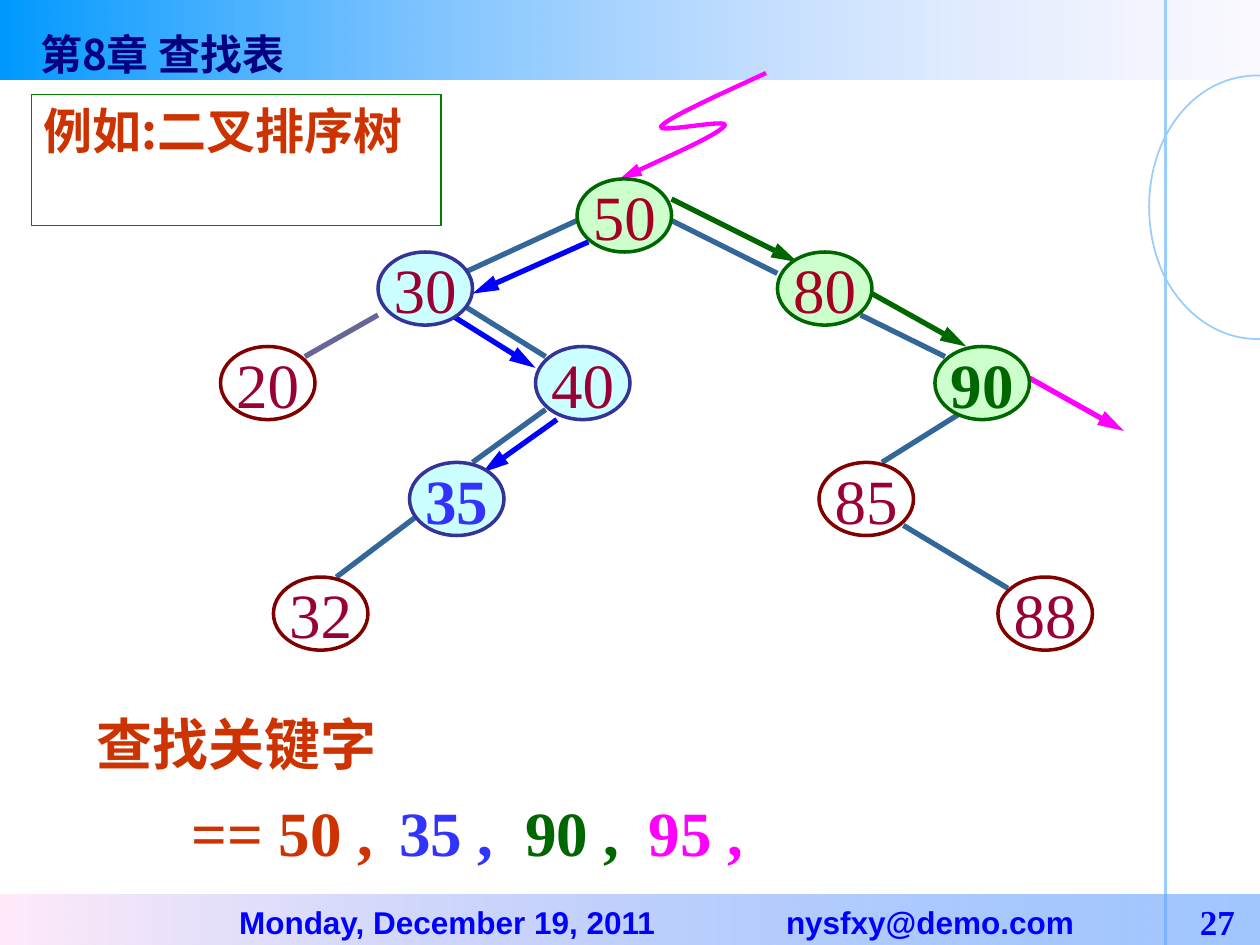
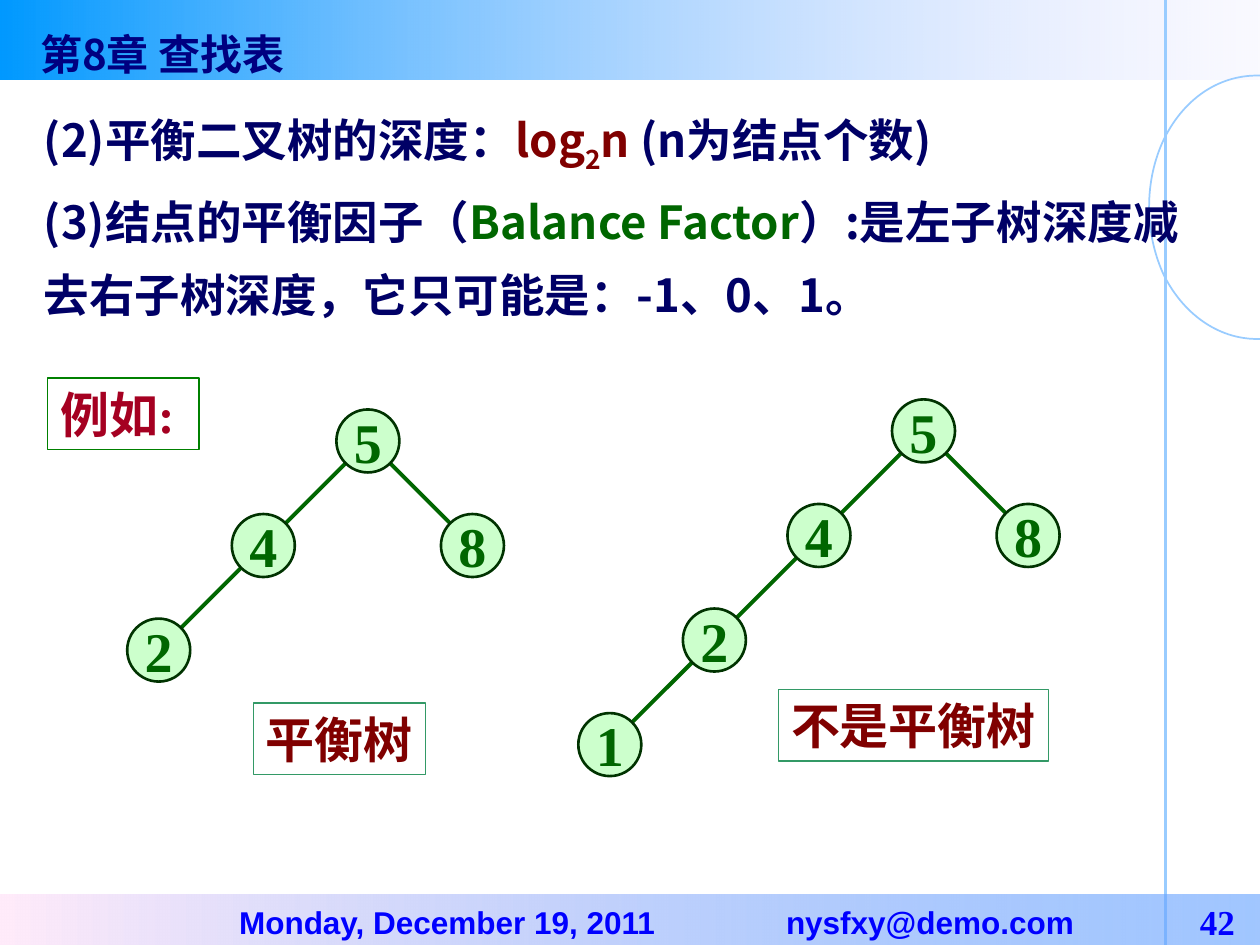
from lxml.etree import SubElement
from pptx import Presentation
from pptx.dml.color import RGBColor
from pptx.enum.shapes import MSO_CONNECTOR, MSO_SHAPE
from pptx.enum.text import MSO_ANCHOR, MSO_AUTO_SIZE, PP_ALIGN
from pptx.oxml.ns import qn
from pptx.util import Inches, Pt

BLUE = RGBColor(0x00, 0x00, 0xFF)
SKY = RGBColor(0x00, 0x99, 0xFF)
LAVENDER = RGBColor(0xCC, 0xCC, 0xFF)
BLUSH = RGBColor(0xFF, 0xEB, 0xFA)
CORNFLOWER = RGBColor(0x5E, 0x9E, 0xFF)
PALE_BLUE = RGBColor(0x99, 0xCC, 0xFF)
NAVY = RGBColor(0x00, 0x00, 0x80)
INK = RGBColor(0x00, 0x00, 0x66)
STEEL = RGBColor(0x33, 0x66, 0x99)
SLATE = RGBColor(0x66, 0x66, 0x99)
INDIGO = RGBColor(0x33, 0x33, 0x99)
VIOLET = RGBColor(0x33, 0x33, 0xFF)
CYAN = RGBColor(0xCC, 0xFF, 0xFF)
MINT = RGBColor(0xCC, 0xFF, 0xCC)
GREEN = RGBColor(0x00, 0x66, 0x00)
DARK_GREEN = RGBColor(0x00, 0x33, 0x00)
FRAME_GREEN = RGBColor(0x00, 0x80, 0x00)
SEA_GREEN = RGBColor(0x33, 0x99, 0x66)
MAROON = RGBColor(0x80, 0x00, 0x00)
CLARET = RGBColor(0x99, 0x00, 0x33)
CRIMSON = RGBColor(0xA5, 0x00, 0x21)
RUST = RGBColor(0xCC, 0x33, 0x00)
MAGENTA = RGBColor(0xFF, 0x00, 0xFF)

SERIF = "Times New Roman"
SANS = "Arial"
CJK = "Noto Sans CJK SC"


def style_paragraph(paragraph, size, color, font_name, bold=True):
    font = paragraph.font
    font.name, font.size, font.bold = font_name, Pt(size), bold
    font.color.rgb = color
    SubElement(paragraph._p.pPr.find(qn("a:defRPr")), qn("a:ea"), typeface=CJK)


def set_stroke(drawn, color, width, arrow=False):
    drawn.line.color.rgb = color
    drawn.line.width = Pt(width)
    if arrow:
        SubElement(drawn.line._get_or_add_ln(), qn("a:tailEnd"),
                   type="triangle", w="med", len="lg")


def add_label(slide, at, text, size, color, font_name=SERIF, frame=None, wrap=False,
              align=PP_ALIGN.LEFT, anchor=MSO_ANCHOR.TOP):
    """Add one line of text; without wrap its box grows to fit."""
    label = slide.shapes.add_textbox(*map(Inches, at))
    label.text_frame.word_wrap = wrap
    if not wrap:
        label.text_frame.auto_size = MSO_AUTO_SIZE.SHAPE_TO_FIT_TEXT
    label.text_frame.vertical_anchor = anchor
    paragraph = label.text_frame.paragraphs[0]
    paragraph.text = text
    paragraph.alignment = align
    style_paragraph(paragraph, size, color, font_name)
    if frame is not None:
        set_stroke(label, frame, 0.75)


def add_line(slide, start, end, color, width, arrow=False):
    line = slide.shapes.add_connector(
        MSO_CONNECTOR.STRAIGHT, *map(Inches, (*start, *end)))
    set_stroke(line, color, width, arrow)
    SubElement(line._element.spPr, qn("a:effectLst"))


def add_curve(slide, points, color, width, arrow=False):
    """Draw cubic Béziers: a start point, then three points per segment."""
    start, *rest = [(Inches(x), Inches(y)) for x, y in points]
    builder = slide.shapes.build_freeform(*start)
    builder.add_line_segments(rest, close=False)
    curve = builder.convert_to_shape()
    curve.shadow.inherit = False
    curve.fill.background()
    set_stroke(curve, color, width, arrow)
    outline = curve._element.spPr.find(".//" + qn("a:path"))
    for number, segment in enumerate(outline.findall(qn("a:lnTo"))):
        if number % 3 == 0:
            bezier = SubElement(outline, qn("a:cubicBezTo"))
        bezier.append(segment[0])
        outline.remove(segment)


def add_band(slide, top, height, left_color, right_color, right_opacity):
    band = slide.shapes.add_shape(
        MSO_SHAPE.RECTANGLE, 0, Inches(top), Inches(10), Inches(height))
    band.shadow.inherit = False
    band.line.fill.background()
    band.fill.gradient()
    band.fill.gradient_angle = 0
    for stop, color, position in zip(
            band.fill.gradient_stops, (left_color, right_color), (0, 1)):
        stop.color.rgb = color
        stop.position = position
    right_stop = band._element.spPr.findall(".//" + qn("a:srgbClr"))[-1]
    SubElement(right_stop, qn("a:alpha"), val=str(right_opacity * 1000))


def add_node(slide, at, size, key, fill, border, border_width, color, font_size, bold):
    node = slide.shapes.add_shape(MSO_SHAPE.OVAL, *map(Inches, (*at, *size)))
    node.shadow.inherit = False
    if fill is None:
        node.fill.background()
    else:
        node.fill.solid()
        node.fill.fore_color.rgb = fill
    set_stroke(node, border, border_width)
    node.text_frame.word_wrap = False
    node.text_frame.vertical_anchor = MSO_ANCHOR.MIDDLE
    paragraph = node.text_frame.paragraphs[0]
    paragraph.text = str(key)
    paragraph.alignment = PP_ALIGN.CENTER
    style_paragraph(paragraph, font_size, color, SERIF, bold)


def add_chapter_slide(prs, page):
    """Add a slide with the chapter title, bands, side arc and footer."""
    slide = prs.slides.add_slide(prs.slide_layouts[6])
    add_band(slide, 0, 0.63, SKY, LAVENDER, 10)
    add_curve(slide, [(10, 0.6), (9.7, 0.59), (9.41, 0.76), (9.24, 1.1),
                      (9.08, 1.43), (9.08, 1.85), (9.24, 2.19),
                      (9.41, 2.52), (9.7, 2.7), (10, 2.69)], PALE_BLUE, 1)
    add_line(slide, (9.25, 0), (9.25, 7.5), PALE_BLUE, 1.5)
    add_band(slide, 7.1, 0.4, BLUSH, CORNFLOWER, 58)
    for left, width, text, size, font_name, align in [
            (1.8, 3.8, "Monday, December 19, 2011", 18, SANS, PP_ALIGN.LEFT),
            (6.14, 2.6, "nysfxy@demo.com", 18, SANS, PP_ALIGN.LEFT),
            (9.1, 0.8, str(page), 20, SERIF, PP_ALIGN.RIGHT)]:
        add_label(slide, (left, 7.13, width, 0.37), text, size, BLUE, font_name,
                  wrap=True, align=align, anchor=MSO_ANCHOR.MIDDLE)
    add_label(slide, (0.22, 0.18, 2.4, 0.34), "第8章 查找表", 24, NAVY, CJK,
              wrap=True)
    return slide


def build_search_tree(prs):
    slide = add_chapter_slide(prs, 27)
    add_label(slide, (0.25, 0.75, 3.25, 1.04), "例如:二叉排序树", 28, RUST, CJK,
              frame=FRAME_GREEN, wrap=True)

    edges = [((4.58, 1.75), (3.67, 2.17)), ((5.33, 1.75), (6.17, 2.17)),
             ((3.67, 2.42), (4.33, 2.83)), ((4.33, 3.25), (3.75, 3.67)),
             ((6.83, 2.5), (7.5, 2.83)), ((7.67, 3.25), (7, 3.67)),
             ((7.17, 4.17), (8, 4.67)), ((3.33, 4.08), (2.67, 4.58))]
    for start, end in edges:
        add_line(slide, start, end, STEEL, 3)
    add_line(slide, (3, 2.5), (2.42, 2.83), SLATE, 3)

    search_steps = [
        (BLUE, (4.67, 1.92), (3.75, 2.33)), (BLUE, (3.58, 2.5), (4.25, 2.92)),
        (BLUE, (4.42, 3.33), (3.83, 3.75)), (GREEN, (5.33, 1.58), (6.33, 2.08)),
        (GREEN, (6.92, 2.33), (7.67, 2.75)), (MAGENTA, (8.17, 3), (8.92, 3.42))]
    for color, start, end in search_steps:
        add_line(slide, start, end, color, 3, arrow=True)
    add_curve(slide, [(6.08, 0.58), (5.69, 0.76), (5.31, 0.93), (5.25, 1),
                      (5.19, 1.07), (5.81, 0.93), (5.75, 1),
                      (5.69, 1.07), (5.31, 1.24), (4.92, 1.42)],
              MAGENTA, 2.5, arrow=True)

    unvisited = (None, MAROON, CLARET)
    left_route = (CYAN, INDIGO, CLARET)
    right_route = (MINT, GREEN, CRIMSON)
    nodes = [(20, 1.75, 2.75, unvisited), (85, 6.5, 3.67, unvisited),
             (88, 7.92, 4.58, unvisited), (32, 2.17, 4.58, unvisited),
             (30, 3, 2, left_route), (40, 4.25, 2.75, left_route),
             (35, 3.25, 3.67, left_route), (50, 4.58, 1.42, right_route),
             (80, 6.17, 2, right_route), (90, 7.42, 2.75, right_route)]
    found_colors = {35: VIOLET, 90: GREEN}
    for key, left, top, (fill, border, color) in nodes:
        add_node(slide, (left, top), (0.75, 0.58), key, fill, border, 2,
                 found_colors.get(key, color), 36, key in found_colors)

    add_label(slide, (0.67, 5.58, 4.56, 0.64), "查找关键字", 32, RUST, wrap=True)
    for left, width, text, color in [
            (1.42, 1.66, "== 50 ,", RUST), (3.07, 0.95, "35 ,", VIOLET),
            (4.07, 0.95, "90 ,", GREEN), (5.05, 0.95, "95 ,", MAGENTA)]:
        add_label(slide, (left, 6.25, width, 0.7), text, 36, color)


def add_small_tree(slide, root, left_spine, right_key):
    """Draw a tree whose left spine descends diagonally from the root."""
    step, size, near, far = 0.83, 0.5, 0.08, 0.42
    root_left, root_top = root
    places = [(key, root_left - step * depth, root_top + step * depth)
              for depth, key in enumerate(left_spine)]
    right_left, right_top = root_left + step, root_top + step
    for (_, x, y), (_, child_x, child_y) in zip(places, places[1:]):
        add_line(slide, (x + near, y + far), (child_x + far, child_y + near),
                 GREEN, 2.25)
    add_line(slide, (root_left + far, root_top + far),
             (right_left + near, right_top + near), GREEN, 2.25)
    for key, x, y in [*places, (right_key, right_left, right_top)]:
        add_node(slide, (x, y), (size, size), key, MINT, DARK_GREEN, 1.5,
                 GREEN, 32, True)


def add_statements(slide, at, statements):
    """Write paragraphs made of (text, colour, baseline percent) runs."""
    frame = slide.shapes.add_textbox(*map(Inches, at)).text_frame
    frame.word_wrap = True
    for number, pieces in enumerate(statements):
        paragraph = frame.add_paragraph() if number else frame.paragraphs[0]
        paragraph.line_spacing = 1.35
        style_paragraph(paragraph, 26, INK, CJK)
        for text, color, baseline in pieces:
            run = paragraph.add_run()
            run.text = text
            run.font.color.rgb = color
            if baseline:
                run._r.rPr.set("baseline", str(baseline * 1000))


def build_balanced_tree(prs):
    slide = add_chapter_slide(prs, 42)
    add_statements(slide, (0.25, 0.67, 9.42, 2.25), [
        [("(2)平衡二叉树的深度：", INK, 0), ("log", MAROON, 0), ("2", MAROON, -25),
         ("n", MAROON, 0), (" (n为结点个数)", INK, 0)],
        [("(3)结点的平衡因子（", INK, 0), ("Balance Factor", GREEN, 0),
         ("）:是左子树深度减去右子树深度，它只可能是：-1、0、1。", INK, 0)]])
    add_label(slide, (0.38, 3, 1.2, 0.57), "例如:", 28, CRIMSON, frame=FRAME_GREEN)
    add_small_tree(slide, (2.67, 3.25), (5, 4, 2), 8)
    add_label(slide, (2.01, 5.58, 1.37, 0.57), "平衡树", 28, MAROON, frame=SEA_GREEN)
    add_small_tree(slide, (7.08, 3.17), (5, 4, 2, 1), 8)
    add_label(slide, (6.18, 5.47, 2.14, 0.57), "不是平衡树", 28, MAROON,
              frame=SEA_GREEN)


def main():
    prs = Presentation()
    prs.slide_width, prs.slide_height = Inches(10), Inches(7.5)
    build_search_tree(prs)
    build_balanced_tree(prs)
    prs.save("out.pptx")


if __name__ == "__main__":
    main()
